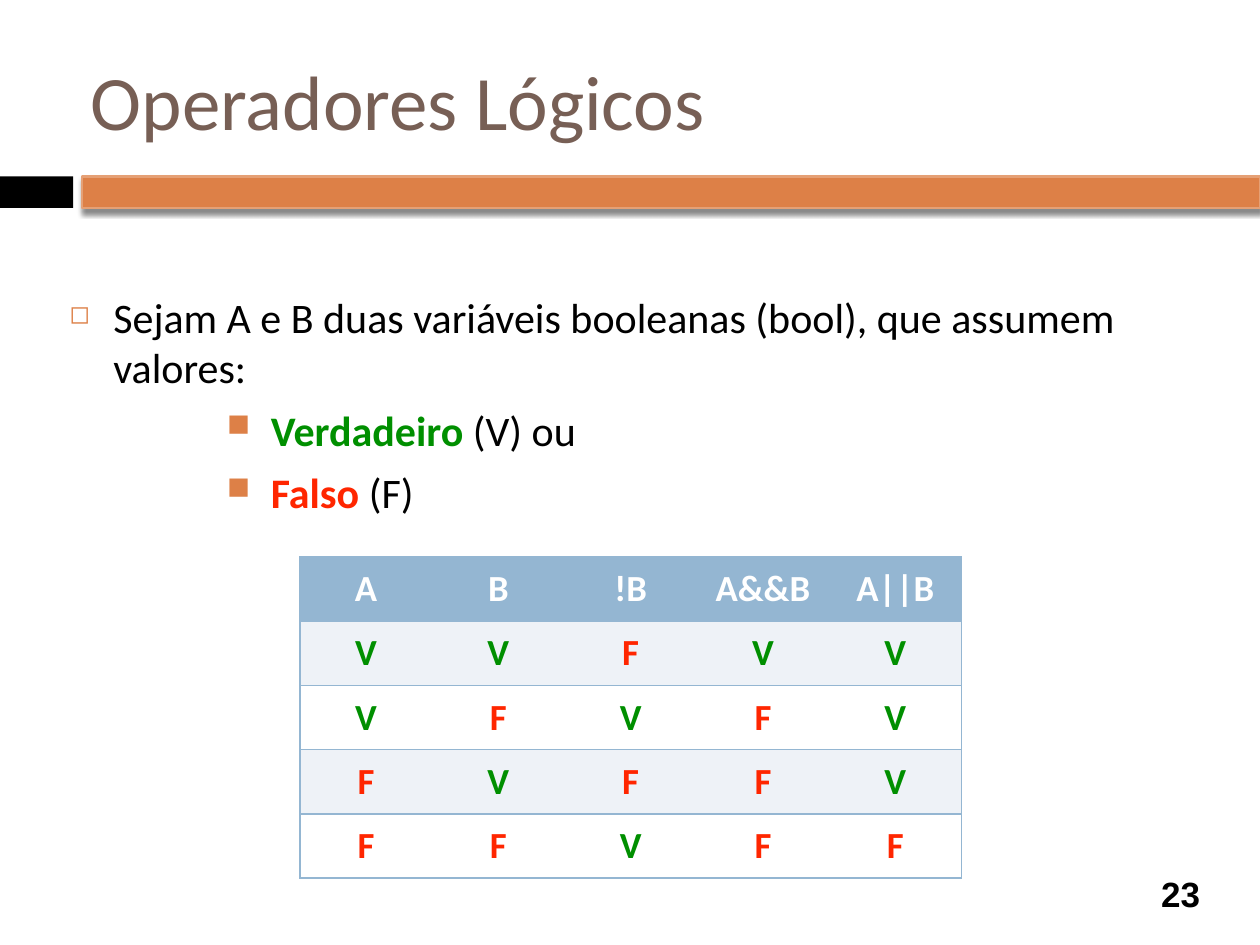
"""Build the slide on logical operators with its truth table."""
from pptx import Presentation
from pptx.dml.color import RGBColor
from pptx.enum.shapes import MSO_SHAPE
from pptx.enum.text import MSO_ANCHOR, MSO_AUTO_SIZE, PP_ALIGN
from pptx.oxml import parse_xml
from pptx.oxml.ns import nsdecls, qn
from pptx.util import Inches, Pt

RECTANGLE = MSO_SHAPE.RECTANGLE
MIDDLE = MSO_ANCHOR.MIDDLE
NO_AUTOFIT = MSO_AUTO_SIZE.NONE
LEFT, CENTER = PP_ALIGN.LEFT, PP_ALIGN.CENTER

BLACK = RGBColor(0x00, 0x00, 0x00)
WHITE = RGBColor(0xFF, 0xFF, 0xFF)
BROWN = RGBColor(0x77, 0x5F, 0x55)
ORANGE = RGBColor(0xDD, 0x80, 0x47)
LIGHT_ORANGE = RGBColor(0xE5, 0xA0, 0x75)
GREEN = RGBColor(0x00, 0x8F, 0x00)
RED = RGBColor(0xFF, 0x26, 0x00)
BLUE = RGBColor(0x94, 0xB6, 0xD2)
PALE_BLUE = RGBColor(0xEE, 0xF2, 0xF7)


def style_span(span, size, color, bold=False, font="Calibri"):
    span.font.name = font
    span.font.size = Pt(size)
    span.font.bold = bold
    span.font.color.rgb = color


def set_frame(frame, inset=0.05):
    frame.word_wrap = True
    frame.auto_size = NO_AUTOFIT
    frame.margin_left = frame.margin_right = Inches(inset)
    frame.margin_top = frame.margin_bottom = Inches(inset)


deck = Presentation()
deck.slide_width, deck.slide_height = Inches(10), Inches(7.5)
page = deck.slides.add_slide(deck.slide_layouts[5])

for left, width, color in ((0, 0.58, BLACK), (0.65, 9.35, ORANGE)):
    bar = page.shapes.add_shape(
        RECTANGLE, Inches(left), Inches(1.4), Inches(width), Inches(0.25))
    bar.shadow.inherit = False
    bar.fill.solid()
    bar.fill.fore_color.rgb = color
    bar.line.fill.background()

bar.line.color.rgb = LIGHT_ORANGE
bar.line.width = Pt(1.5)
bar._element.spPr.find(qn("a:effectLst")).append(parse_xml(
    f'<a:outerShdw {nsdecls("a")} blurRad="{Pt(3)}" dist="{Pt(2.4)}" '
    f'dir="5400000" rotWithShape="0"><a:srgbClr val="{BLACK}">'
    '<a:alpha val="45000"/></a:srgbClr></a:outerShdw>'))

title = page.shapes.title
title.left, title.top = Inches(0.67), Inches(0.25)
title.width, title.height = Inches(8.92), Inches(1.08)
title.text_frame.text = "Operadores Lógicos"
set_frame(title.text_frame)
title.text_frame.vertical_anchor = MIDDLE
title.text_frame.paragraphs[0].alignment = LEFT
style_span(title.text_frame.paragraphs[0].runs[0], 44, BROWN)

number_box = page.shapes.add_textbox(
    Inches(9.08), Inches(6.89), Inches(0.58), Inches(0.41))
number_box.text_frame.text = "23"
set_frame(number_box.text_frame)
number_box.text_frame.vertical_anchor = MIDDLE
number_box.text_frame.paragraphs[0].alignment = CENTER
style_span(number_box.text_frame.paragraphs[0].runs[0], 20, BLACK, True, "Arial")

body_box = page.shapes.add_textbox(
    Inches(0.5), Inches(1.75), Inches(9), Inches(2.61))
body = body_box.text_frame
set_frame(body)
body.margin_top = Inches(0.56)
ITEMS = (
    (0, 0.35, "◻", 60, 0, (
        ("Sejam A e B duas variáveis booleanas (bool), que assumem valores:",
         BLACK, False),)),
    (3, 1.6, "■", 75, 7, (("Verdadeiro", GREEN, True), (" (V) ou", BLACK, False))),
    (3, 1.6, "■", 75, 7, (("Falso", RED, True), (" (F)", BLACK, False))),
)
for index, (level, indent, bullet, percent, space, spans) in enumerate(ITEMS):
    para = body.add_paragraph() if index else body.paragraphs[0]
    para.level = level
    para.space_before = Pt(space)
    properties = para._p.get_or_add_pPr()
    properties.set("marL", str(Inches(indent)))
    properties.set("indent", str(Inches(-0.35)))
    for xml in (
        f'<a:buClr {nsdecls("a")}><a:srgbClr val="{ORANGE}"/></a:buClr>',
        f'<a:buSzPct {nsdecls("a")} val="{percent * 1000}"/>',
        f'<a:buChar {nsdecls("a")} char="{bullet}"/>',
    ):
        properties.append(parse_xml(xml))
    for text, color, bold in spans:
        span = para.add_run()
        span.text = text
        style_span(span, 24, color, bold)

TRUTH_ROWS = (
    ("A", "B", "!B", "A&&B", "A||B"),
    ("V", "V", "F", "V", "V"),
    ("V", "F", "V", "F", "V"),
    ("F", "V", "F", "F", "V"),
    ("F", "F", "V", "F", "F"),
)
VALUE_COLORS = {"V": GREEN, "F": RED}
ROW_COUNT, COLUMN_COUNT = len(TRUTH_ROWS), len(TRUTH_ROWS[0])
truth_table = page.shapes.add_table(
    ROW_COUNT, COLUMN_COUNT,
    Inches(2.38), Inches(4.42), Inches(5.25), Inches(2.55)).table
for column in truth_table.columns:
    column.width = Inches(1.05)
for row_index, values in enumerate(TRUTH_ROWS):
    truth_table.rows[row_index].height = Inches(0.51)
    for column_index, value in enumerate(values):
        cell = truth_table.cell(row_index, column_index)
        cell.text = value
        cell.margin_left = cell.margin_right = Inches(0.07)
        cell.margin_top = cell.margin_bottom = Inches(0.07)
        cell.vertical_anchor = MIDDLE
        para = cell.text_frame.paragraphs[0]
        para.alignment = CENTER
        style_span(para.runs[0], 21, VALUE_COLORS.get(value, WHITE), True)
        edges = {"lnL": column_index == 0,
                 "lnR": column_index == COLUMN_COUNT - 1,
                 "lnT": True, "lnB": True}
        for edge, visible in edges.items():
            paint = (f'<a:solidFill><a:srgbClr val="{BLUE}"/></a:solidFill>'
                     if visible else "<a:noFill/>")
            cell._tc.get_or_add_tcPr().append(parse_xml(
                f'<a:{edge} {nsdecls("a")} w="{Pt(1)}">{paint}</a:{edge}>'))
        cell.fill.solid()
        cell.fill.fore_color.rgb = (
            BLUE if row_index == 0 else PALE_BLUE if row_index % 2 else WHITE)

deck.save("out.pptx")
